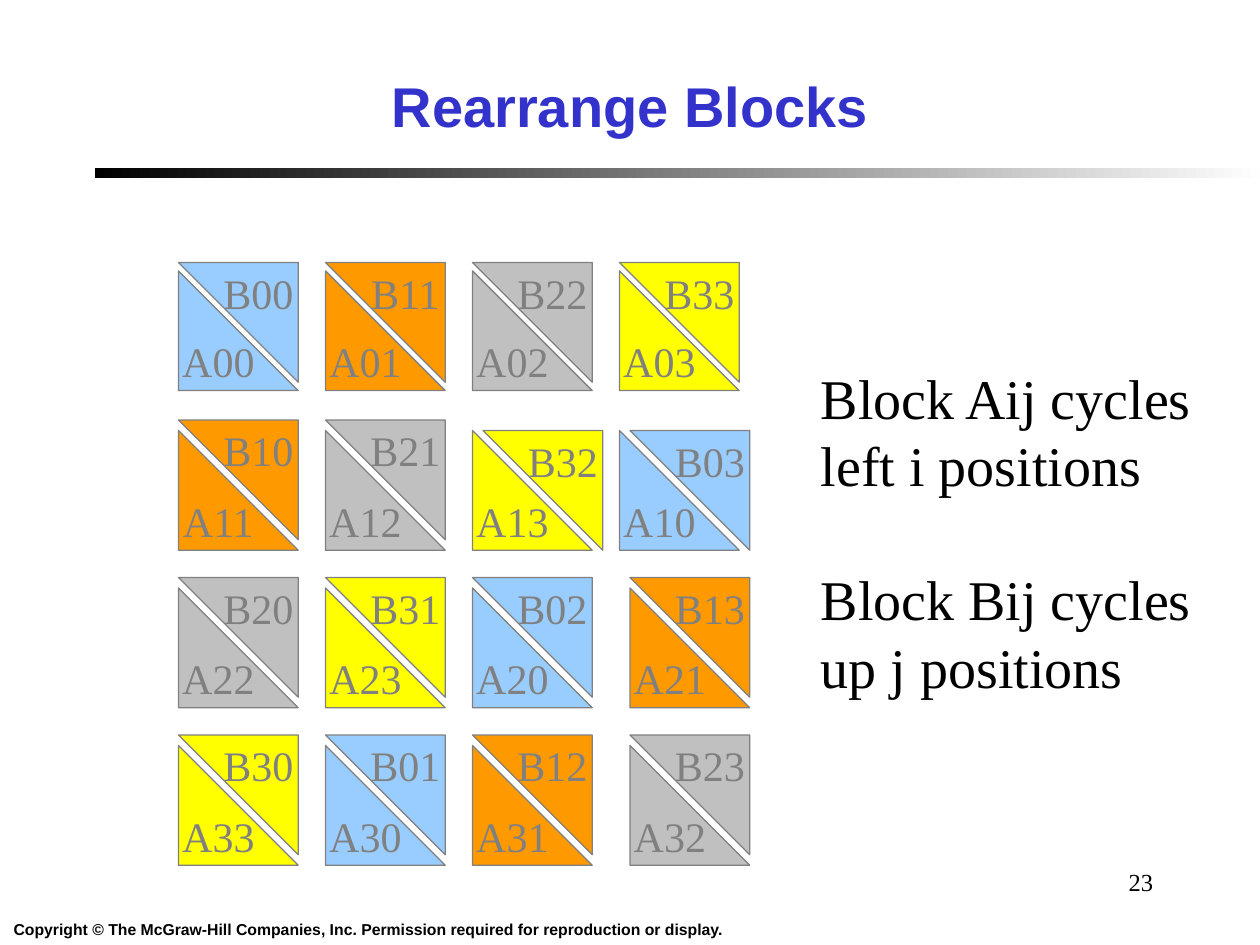
from pptx import Presentation
from pptx.dml.color import RGBColor
from pptx.enum.shapes import MSO_SHAPE
from pptx.enum.text import MSO_ANCHOR, PP_ALIGN
from pptx.util import Emu, Pt

PX = 7620  # EMU per px, 120 px to the inch
SERIF, SANS = "Times New Roman", "Arial"
COLORS = ["99CCFF", "FF9900", "C0C0C0", "FFFF00"]
N = 4


def box(*lengths):
    """Turn px lengths into EMU."""
    return [Emu(v * PX) for v in lengths]


def style(p, size, color, name, bold=False, align=PP_ALIGN.LEFT):
    p.alignment = align
    for r in p.runs:
        r.font.size = Pt(size)
        r.font.name = name
        r.font.bold = bold
        r.font.color.rgb = RGBColor.from_string(color)


prs = Presentation()
prs.slide_width, prs.slide_height = box(1200, 900)
slide = prs.slides.add_slide(prs.slide_layouts[5])

title = slide.shapes.title
title.left, title.top, title.width, title.height = box(30, 40, 1140, 120)
title.text_frame.text = "Rearrange Blocks"
title.text_frame.vertical_anchor = MSO_ANCHOR.MIDDLE
style(title.text_frame.paragraphs[0], 32, "3333CC", SANS, True, PP_ALIGN.CENTER)

rule = slide.shapes.add_shape(MSO_SHAPE.RECTANGLE, *box(90, 160, 1110, 10))
rule.shadow.inherit = False
rule.line.fill.background()
rule.fill.gradient()
rule.fill.gradient_angle = 0
for stop, color in zip(rule.fill.gradient_stops, ["000000", "FEFEFE"]):
    stop.color.rgb = RGBColor.from_string(color)

# After the shift, cell (row, col) holds A[row][k] and B[k][col] with k = row + col mod N
SHIFTED_RIGHT = {("A", 2, 3), ("A", 3, 3), ("B", 1, 2), ("B", 1, 3), ("B", 2, 3), ("B", 3, 3)}
SHIFTED_DOWN = {("B", 1, 2), ("B", 1, 3)}
for row in range(N):
    for col in range(N):
        k = (row + col) % N
        gap = 8 if row == 0 else 10
        for matrix, label, drop in [("A", f"A{row}{k}", gap), ("B", f"B{k}{col}", 0)]:
            key = (matrix, row, col)
            x = 170 + 140 * col + (10 if key in SHIFTED_RIGHT else 0)
            y = 250 + 150 * row + drop + (10 if key in SHIFTED_DOWN else 0)
            s = slide.shapes.add_shape(MSO_SHAPE.RIGHT_TRIANGLE, *box(x, y, 114, 114))
            s.shadow.inherit = False
            s.fill.solid()
            s.fill.fore_color.rgb = RGBColor.from_string(COLORS[k])
            s.line.color.rgb = RGBColor.from_string("808080")
            s.line.width = Pt(0.75)
            tf = s.text_frame
            tf.text = label
            tf.word_wrap = False
            tf.vertical_anchor = MSO_ANCHOR.MIDDLE
            style(tf.paragraphs[0], 24, "808080", SERIF, align=PP_ALIGN.CENTER)
            if matrix == "B":
                s.rotation = 180
                s.element.txBody.bodyPr.set("rot", "10800000")  # keeps the label upright

notes = slide.shapes.add_textbox(*box(770, 340, 379, 332))
tf = notes.text_frame
tf.word_wrap = False
tf.text = "Block Aij cycles\nleft i positions\nBlock Bij cycles\nup j positions"
for p in tf.paragraphs:
    style(p, 32, "000000", SERIF)
    p.line_spacing = Pt(38.4)
tf.paragraphs[2].space_before = Pt(38.4)

number = slide.shapes.add_textbox(*box(860, 820, 250, 60))
number.text_frame.word_wrap = True
number.text_frame.text = "23"
style(number.text_frame.paragraphs[0], 14, "000000", SERIF, align=PP_ALIGN.RIGHT)

footer = slide.shapes.add_textbox(*box(0, 870, 701, 30))
footer.text_frame.word_wrap = False
footer.text_frame.text = ("Copyright © The McGraw-Hill Companies, Inc. "
                          "Permission required for reproduction or display.")
style(footer.text_frame.paragraphs[0], 9, "000000", SANS, True, PP_ALIGN.CENTER)

prs.save("out.pptx")
